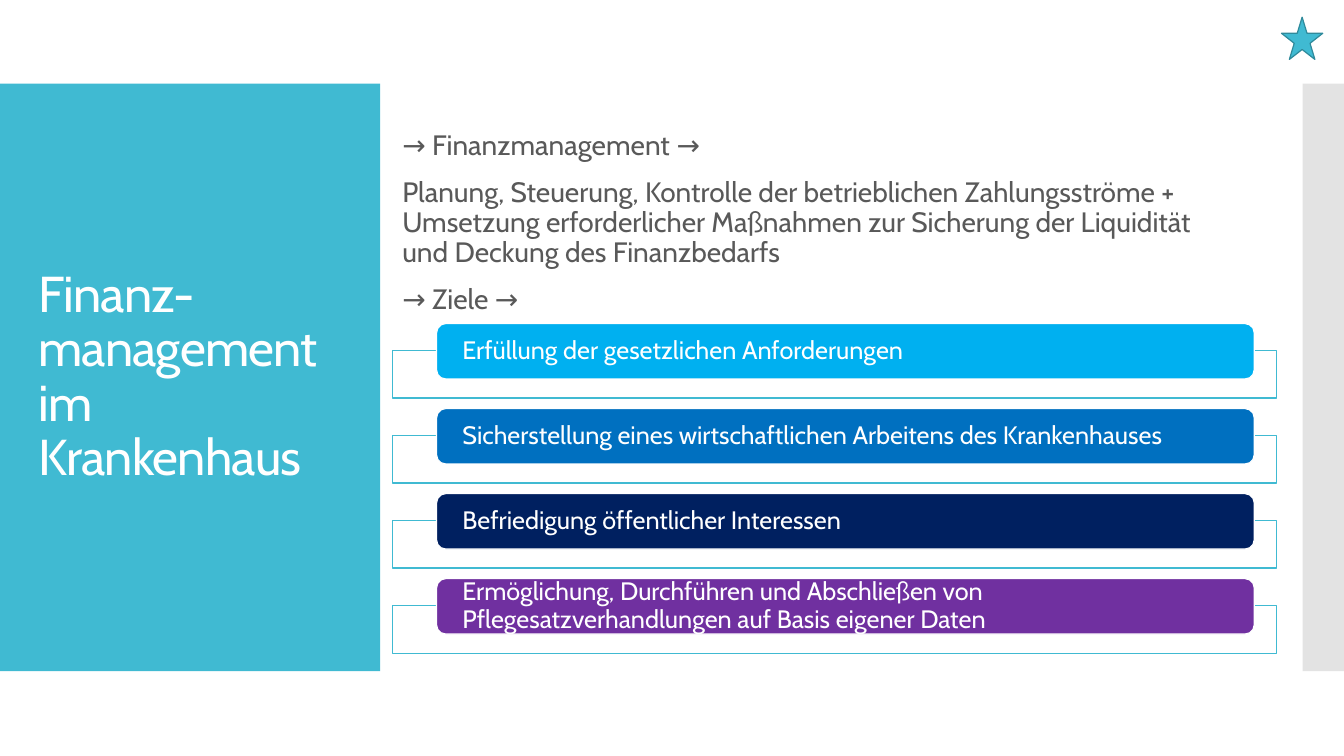
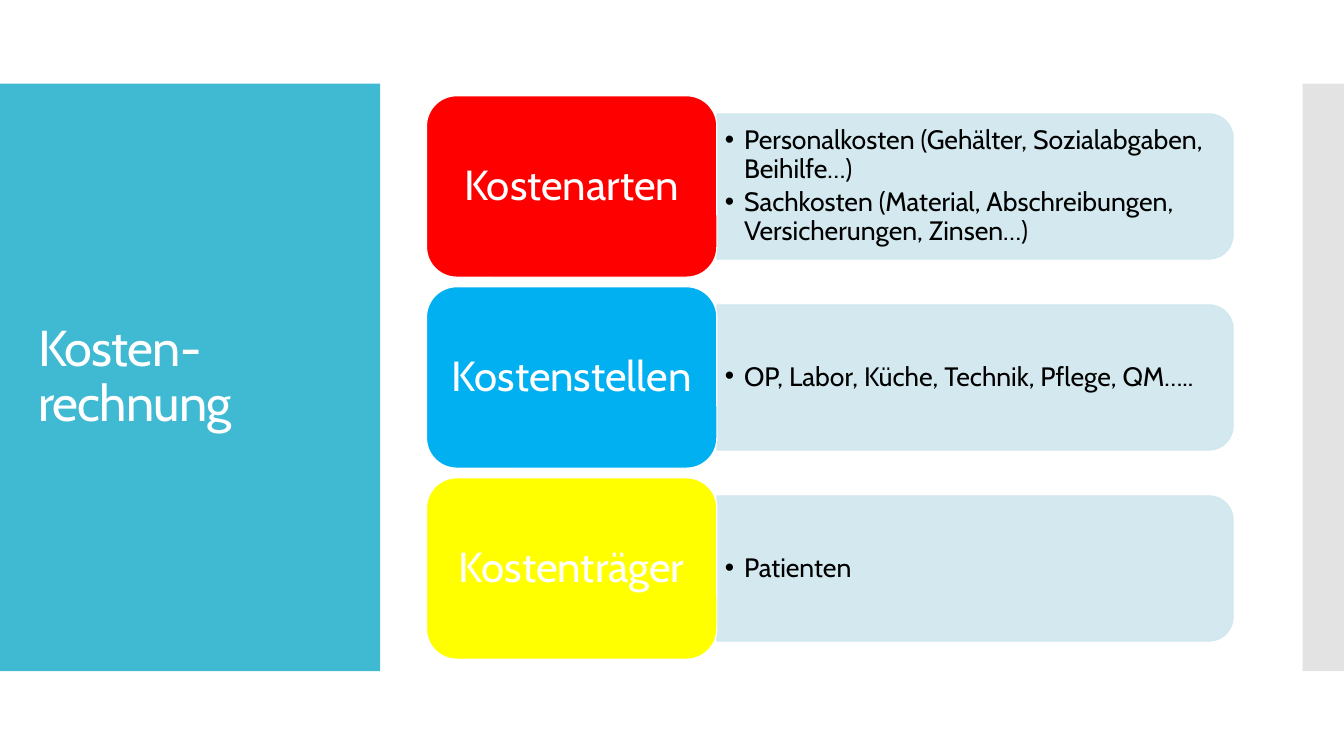
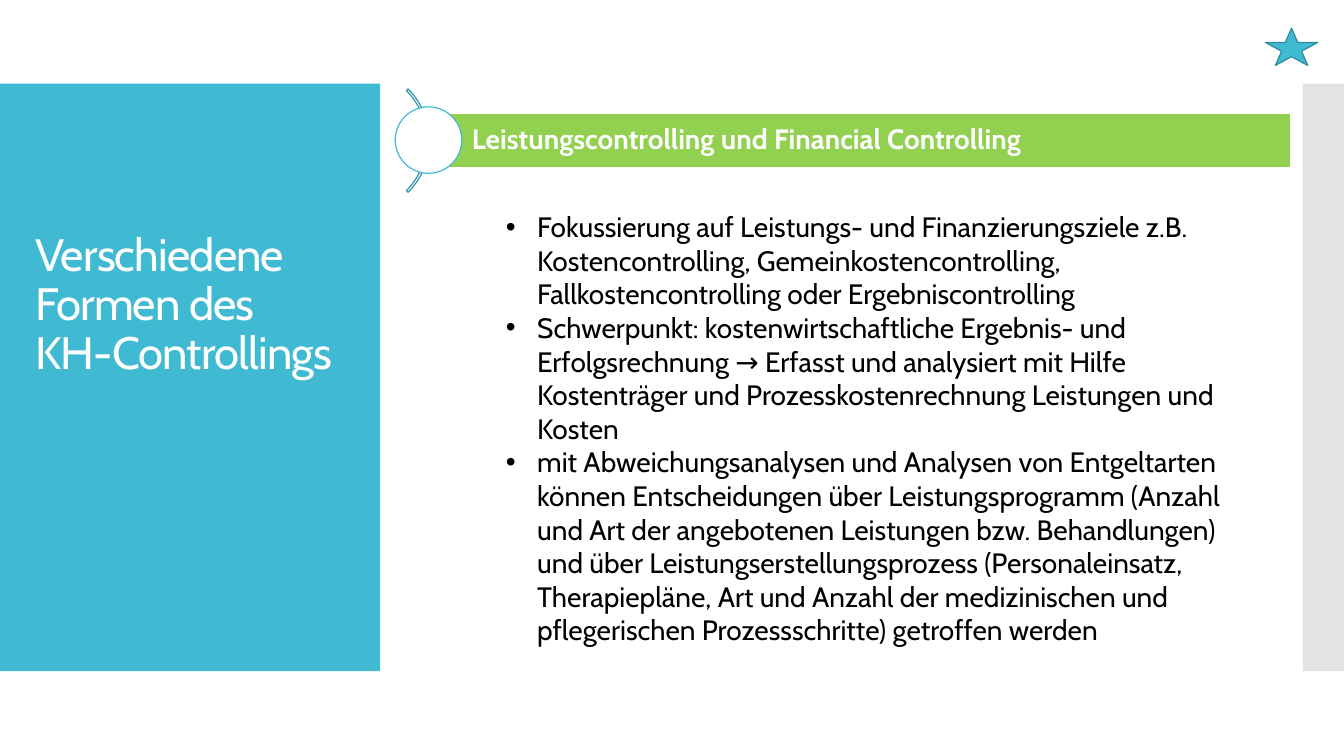
import pptx
import pptx.dml.color
import pptx.enum.shapes
import pptx.enum.text
import pptx.oxml
import pptx.oxml.ns
import pptx.util
import lxml.etree

Inches = pptx.util.Inches
Pt = pptx.util.Pt
RGB = pptx.dml.color.RGBColor.from_string
qn = pptx.oxml.ns.qn
SHAPE = pptx.enum.shapes.MSO_SHAPE
ANCHOR = pptx.enum.text.MSO_ANCHOR
ALIGN = pptx.enum.text.PP_ALIGN

FONT = "Cabin"
COLORS = {
    "white": "FFFFFF", "black": "000000", "text": "595959",
    "teal": "40BAD2", "teal_dark": "2F8A9B", "arc": "3395A8",
    "pale": "CFE7EE", "grey": "C8C8C8",
    "sky": "00B0F0", "blue": "0070C0", "navy": "002060", "purple": "7030A0",
    "red": "FF0000", "yellow": "FFFF00", "green": "92D050",
}


def paint(shape, fill, line=None, opacity=100):
    shape.shadow.inherit = False
    if fill:
        shape.fill.solid()
        shape.fill.fore_color.rgb = RGB(COLORS[fill])
    else:
        shape.fill.background()
    if line:
        shape.line.color.rgb = RGB(COLORS[line])
        shape.line.width = Pt(0.85)
    else:
        shape.line.fill.background()
    if opacity < 100:
        for color in shape.element.iter(qn("a:srgbClr")):
            lxml.etree.SubElement(color, qn("a:alpha"), val=str(opacity * 1000))


def write(shape, lines, size, color, margins=(0.1, 0.05), bullet=None, anchor=ANCHOR.MIDDLE,
          align=ALIGN.LEFT, spacing=0.9, before=0, after=0, bold=False):
    frame = shape.text_frame
    frame.text = "\n".join(lines)
    frame.word_wrap = True
    frame.auto_size = pptx.enum.text.MSO_AUTO_SIZE.NONE
    frame.vertical_anchor = anchor
    frame.margin_left = frame.margin_right = Inches(margins[0])
    frame.margin_top = frame.margin_bottom = Inches(margins[1])
    for number, paragraph in enumerate(frame.paragraphs):
        properties = paragraph._p.get_or_add_pPr()
        indent, hang = bullet or (0, 0)
        properties.set("marL", str(Inches(indent)))
        properties.set("indent", str(-Inches(hang)))
        if bullet:
            lxml.etree.SubElement(properties, qn("a:buFont"), typeface="Arial")
            lxml.etree.SubElement(properties, qn("a:buChar"), char="•")
        else:
            lxml.etree.SubElement(properties, qn("a:buNone"))
        paragraph.alignment = align
        paragraph.line_spacing = spacing
        paragraph.space_before = Pt(before if number else 0)
        paragraph.space_after = Pt(after)
        paragraph.font.name = FONT
        paragraph.font.size = Pt(size)
        paragraph.font.bold = bold
        paragraph.font.color.rgb = RGB(COLORS[color])


deck = pptx.Presentation()
deck.slide_width = Inches(13.33)
deck.slide_height = Inches(7.5)
content_layout = deck.slide_layouts[1]
title_layout = deck.slide_layouts[5]

titles = [
    (content_layout, "Finanz-management im Krankenhaus", 36, (0.28, 1.23, 3.22, 5.03)),
    (title_layout, "Kosten-rechnung", 36, (0.28, 1.23, 3.22, 5.03)),
    (title_layout, "Verschiedene\vFormen des\vKH-Controllings", 32.4, (0.25, 2.24, 11.26, 1.59)),
]
slides = []
for layout, heading, size, box in titles:
    slide = deck.slides.add_slide(layout)
    title = slide.shapes.title
    title.left, title.top, title.width, title.height = map(Inches, box)
    write(title, [heading], size, "white")
    for defaults in title.element.iter(qn("a:defRPr")):
        defaults.set("spc", "-60")
    slides.append(slide)
finance, costing, controlling = slides

bands = [(0, 3.77, "teal", 100), (12.92, 0.42, "grey", 50)]
for number, (left, width, fill, opacity) in enumerate(bands):
    band = finance.shapes.add_shape(SHAPE.RECTANGLE, Inches(left), Inches(0.83), Inches(width), Inches(5.83))
    paint(band, fill, opacity=opacity)
    next(band.element.iter(qn("p:cNvPr"))).set("id", str(100 + number))
    deck.slide_master.shapes.element.insert(2 + number, band.element)

definition = finance.placeholders[1]
definition.left, definition.top = Inches(3.89), Inches(1.25)
definition.width, definition.height = Inches(8.52), Inches(1.95)
write(definition, [
    "→ Finanzmanagement →",
    "Planung, Steuerung, Kontrolle der betrieblichen Zahlungsströme + Umsetzung erforderlicher "
    "Maßnahmen zur Sicherung der Liquidität und Deckung des Finanzbedarfs",
    "→ Ziele →",
], 20, "text", anchor=ANCHOR.TOP, before=12)

goals = [
    ("sky", "Erfüllung der gesetzlichen Anforderungen"),
    ("blue", "Sicherstellung eines wirtschaftlichen Arbeitens des Krankenhauses"),
    ("navy", "Befriedigung öffentlicher Interessen"),
    ("purple", "Ermöglichung, Durchführen und Abschließen von Pflegesatzverhandlungen auf Basis eigener Daten"),
]
goal_pitch = 2.53 / 3
for row, (fill, goal) in enumerate(goals):
    top = 3.21 + row * goal_pitch
    bracket = finance.shapes.add_shape(SHAPE.RECTANGLE, Inches(3.89), Inches(top + 0.27), Inches(8.77), Inches(0.47))
    paint(bracket, "white", "teal")
    bar = finance.shapes.add_shape(SHAPE.ROUNDED_RECTANGLE, Inches(4.33), Inches(top), Inches(8.11), Inches(0.55))
    paint(bar, fill, "white")
    write(bar, [goal], 18, "white", margins=(0.23, 0))

cost_groups = [
    ("red", "Kostenarten", [
        "Personalkosten (Gehälter, Sozialabgaben, Beihilfe…)",
        "Sachkosten (Material, Abschreibungen, Versicherungen, Zinsen…)",
    ]),
    ("sky", "Kostenstellen", ["OP, Labor, Küche, Technik, Pflege, QM….."]),
    ("yellow", "Kostenträger", ["Patienten"]),
]
panel_width, panel_height = 5.12, 1.44
for row, (fill, group, examples) in enumerate(cost_groups):
    top = 0.95 + row * 1.895
    middle = top + 0.9
    panel = costing.shapes.add_shape(
        SHAPE.ROUND_2_SAME_RECTANGLE,
        Inches(7.11 + (panel_width - panel_height) / 2), Inches(middle - panel_width / 2),
        Inches(panel_height), Inches(panel_width))
    panel.rotation = 90
    paint(panel, "pale", "pale", opacity=90)
    details = costing.shapes.add_textbox(Inches(7.11), Inches(middle - 0.65), Inches(5.05), Inches(1.3))
    write(details, examples, 19, "black", margins=(0.08, 0.04), bullet=(0.19, 0.19), after=3)
    label = costing.shapes.add_shape(SHAPE.ROUNDED_RECTANGLE, Inches(4.23), Inches(top), Inches(2.88), Inches(1.8))
    paint(label, fill, "white")
    write(label, [group], 30, "white", margins=(0.12, 0.06), align=ALIGN.CENTER)

arc = controlling.shapes.add_shape(SHAPE.BLOCK_ARC, Inches(2.81), Inches(0.67), Inches(1.45), Inches(1.45))
for number, value in enumerate((189, 27, 0.016)):
    arc.adjustments[number] = value
paint(arc, None, "arc")
banner = controlling.shapes.add_shape(SHAPE.RECTANGLE, Inches(4.25), Inches(1.13), Inches(8.55), Inches(0.53))
paint(banner, "green", "white")
write(banner, ["Leistungscontrolling und Financial Controlling"], 20, "white", margins=(0.43, 0.06), bold=True)
knob = controlling.shapes.add_shape(SHAPE.OVAL, Inches(3.92), Inches(1.06), Inches(0.66), Inches(0.66))
paint(knob, "white", "teal")

features = controlling.shapes.add_textbox(Inches(3.92), Inches(2.03), Inches(8.4), Inches(4.48))
write(features, [
    "Fokussierung auf Leistungs- und Finanzierungsziele z.B. Kostencontrolling, "
    "Gemeinkostencontrolling, Fallkostencontrolling oder Ergebniscontrolling",
    "Schwerpunkt: kostenwirtschaftliche Ergebnis- und Erfolgsrechnung → Erfasst und analysiert "
    "mit Hilfe Kostenträger und Prozesskostenrechnung Leistungen und Kosten",
    "mit Abweichungsanalysen und Analysen von Entgeltarten können Entscheidungen über "
    "Leistungsprogramm (Anzahl und Art der angebotenen Leistungen bzw. Behandlungen) und über "
    "Leistungserstellungsprozess (Personaleinsatz, Therapiepläne, Art und Anzahl der medizinischen "
    "und pflegerischen Prozessschritte) getroffen werden",
], 20, "black", bullet=(1.31, 0.31), anchor=ANCHOR.TOP, spacing=1.0)

for slide, box in [(finance, (12.71, 0.17, 0.41, 0.42)), (controlling, (12.55, 0.28, 0.52, 0.37))]:
    star = slide.shapes.add_shape(SHAPE.STAR_5_POINT, *map(Inches, box))
    paint(star, "teal", "teal_dark")

deck.save("out.pptx")
